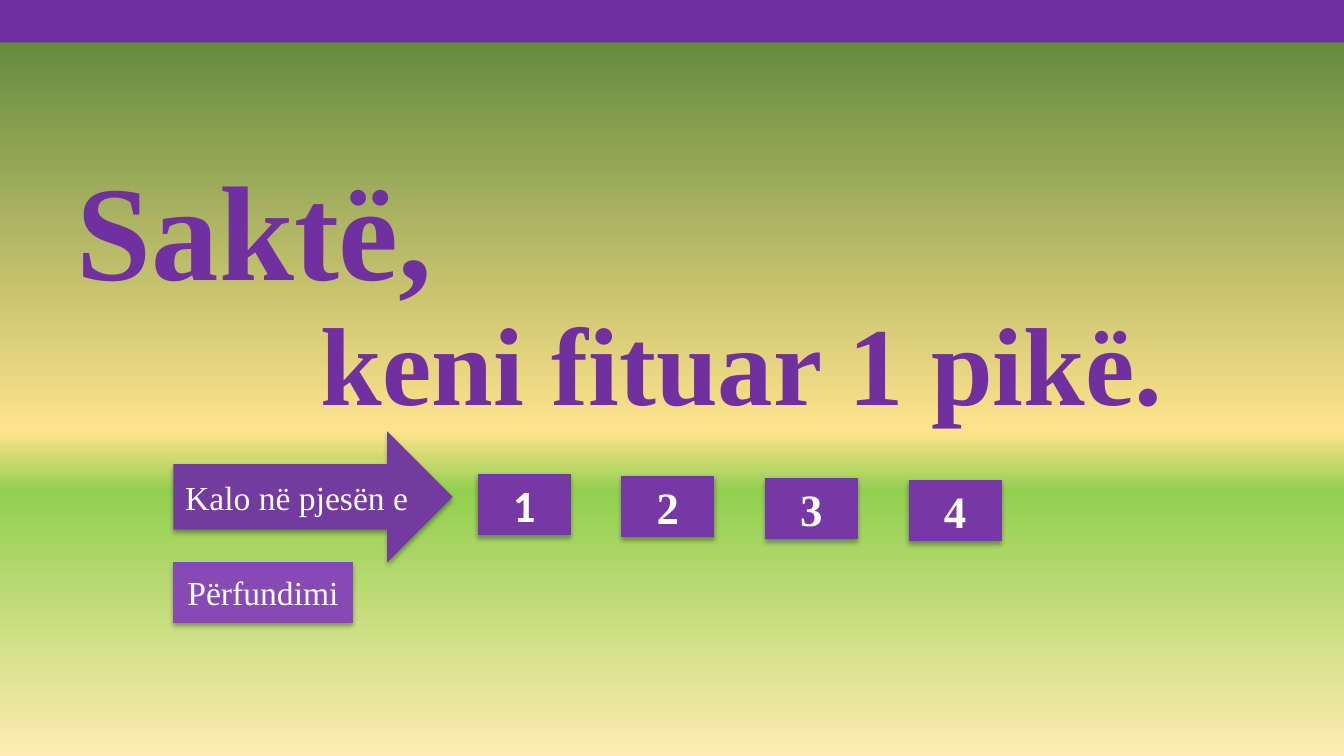
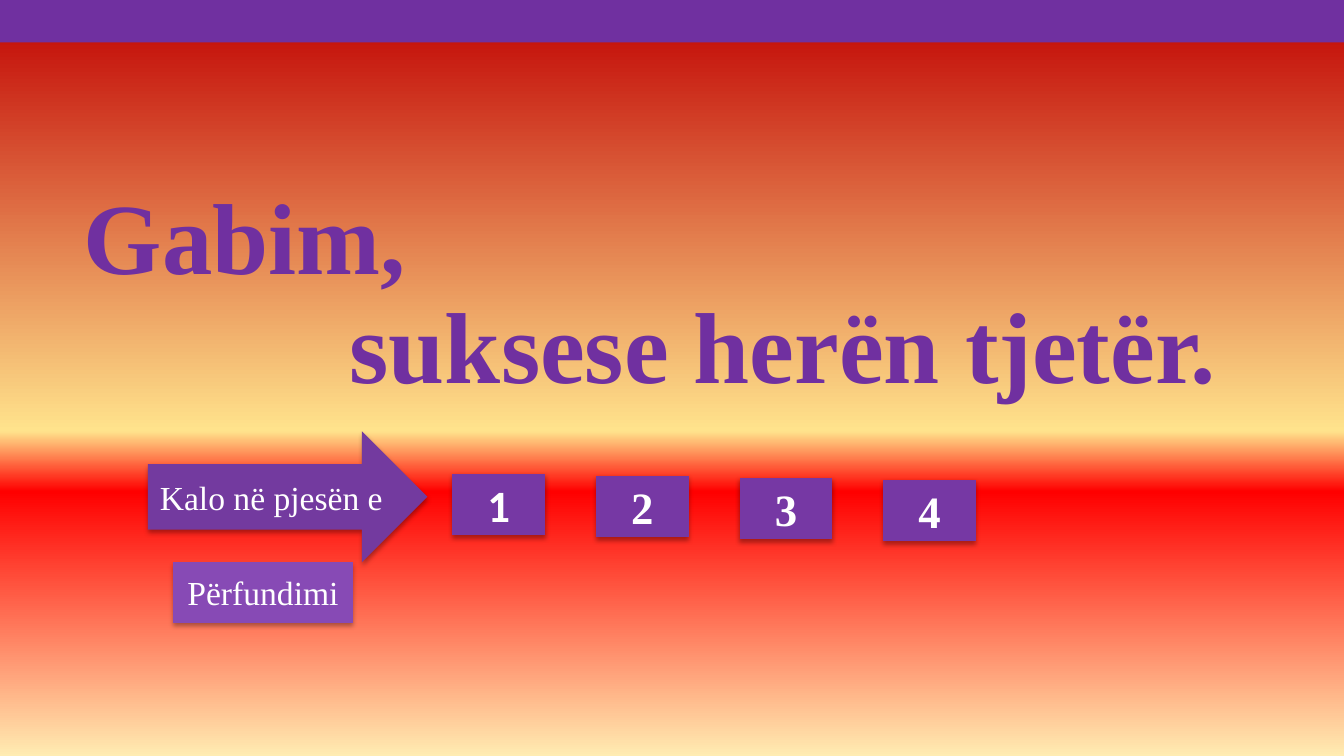
from pptx import Presentation
from pptx.dml.color import RGBColor
from pptx.enum.shapes import MSO_SHAPE
from pptx.enum.text import MSO_ANCHOR, MSO_AUTO_SIZE, PP_ALIGN
from pptx.oxml import parse_xml
from pptx.oxml.ns import nsdecls
from pptx.util import Cm, Pt

COLORS = {
    "purple": "7030A0",
    "number": "7638A4",
    "arrow": "733A9F",
    "finish": "874AB5",
    "white": "FFFFFF",
    "shadow": "000000",
    "glow": "FFE38C",
    "pale": "FFECB2",
    "dark green": "548235",
    "green": "92D050",
    "dark red": "C00000",
    "red": "FF0000",
}
SERIF = "Times New Roman"

# Each title line: text, size in points, indent in cm
PAGES = [
    {
        "top": "dark green", "middle": "green", "arrow left": 4.37,
        "title": [("Saktë,", 96.3, 0.16), ("keni fituar 1 pikë.", 79.2, 6.31)],
    },
    {
        "top": "dark red", "middle": "red", "arrow left": 3.73,
        "title": [("Gabim,", 72, 0.34), ("suksese herën tjetër.", 72, 7.04)],
    },
]


def style_font(font, name, size, color, bold):
    font.name = name
    font.size = Pt(size)
    font.bold = bold
    font.color.rgb = RGBColor.from_string(COLORS[color])


def add_button(page, kind, place, color, text, size=24, name=SERIF, bold=False):
    button = page.shapes.add_shape(kind, *[Cm(length) for length in place])
    button.fill.solid()
    button.fill.fore_color.rgb = RGBColor.from_string(COLORS[color])
    button.line.fill.background()
    button.element.spPr.append(parse_xml(
        f'<a:effectLst {nsdecls("a")}>'
        '<a:outerShdw blurRad="44450" dist="27940" dir="5400000" rotWithShape="0">'
        f'<a:srgbClr val="{COLORS["shadow"]}"><a:alpha val="32000"/></a:srgbClr>'
        '</a:outerShdw></a:effectLst>'))
    frame = button.text_frame
    frame.word_wrap = True
    frame.margin_left = frame.margin_right = Cm(0.2)
    frame.vertical_anchor = MSO_ANCHOR.MIDDLE
    frame.text = text
    para = frame.paragraphs[0]
    para.alignment = PP_ALIGN.CENTER
    style_font(para.runs[0].font, name, size, "white", bold)


deck = Presentation()
deck.slide_width, deck.slide_height = Cm(33.87), Cm(19.05)
title_only = deck.slide_layouts[5]

for content in PAGES:
    page = deck.slides.add_slide(title_only)

    # Gradient background
    stops = [(0, content["top"]), (57, "glow"), (65, content["middle"]), (100, "pale")]
    stop_xml = "".join(
        f'<a:gs pos="{position * 1000}"><a:srgbClr val="{COLORS[color]}"/></a:gs>'
        for position, color in stops)
    page.element.cSld.insert(0, parse_xml(
        f'<p:bg {nsdecls("p", "a")}><p:bgPr><a:gradFill rotWithShape="1">'
        f'<a:gsLst>{stop_xml}</a:gsLst><a:lin ang="5400000" scaled="0"/>'
        '</a:gradFill><a:effectLst/></p:bgPr></p:bg>'))

    # Two-line title
    title = page.shapes.title
    title.left, title.top, title.width, title.height = Cm(1.52), Cm(4.37), Cm(31), Cm(6.2)
    frame = title.text_frame
    frame.word_wrap = True
    frame.auto_size = MSO_AUTO_SIZE.NONE
    frame.vertical_anchor = MSO_ANCHOR.MIDDLE
    frame.text = "\n".join(text for text, size, indent in content["title"])
    for para, (text, size, indent) in zip(frame.paragraphs, content["title"]):
        para.alignment = PP_ALIGN.LEFT
        para.line_spacing = 0.9
        para._p.get_or_add_pPr().set("marL", str(Cm(indent)))
        style_font(para.runs[0].font, SERIF, size, "purple", True)

    # Top band
    band = page.shapes.add_shape(MSO_SHAPE.RECTANGLE, 0, 0, deck.slide_width, Cm(1.07))
    band.shadow.inherit = False
    band.fill.solid()
    band.fill.fore_color.rgb = RGBColor.from_string(COLORS["purple"])
    band.line.fill.background()

    # Numbered buttons, each a little lower than the one before
    arrow_left = content["arrow left"]
    for index in range(4):
        place = (arrow_left + 7.67 + 3.62 * index, 11.94 + 0.05 * index, 2.34, 1.55)
        add_button(page, MSO_SHAPE.ACTION_BUTTON_CUSTOM, place, "number", str(index + 1),
                   size=32, name=SERIF if index else "Calibri", bold=True)

    # Arrow and finish button
    add_button(page, MSO_SHAPE.RIGHT_ARROW, (arrow_left, 10.87, 7.04, 3.3),
               "arrow", "Kalo në pjesën e")
    add_button(page, MSO_SHAPE.ACTION_BUTTON_CUSTOM, (4.37, 14.17, 4.52, 1.52),
               "finish", "Përfundimi")

deck.save("out.pptx")
